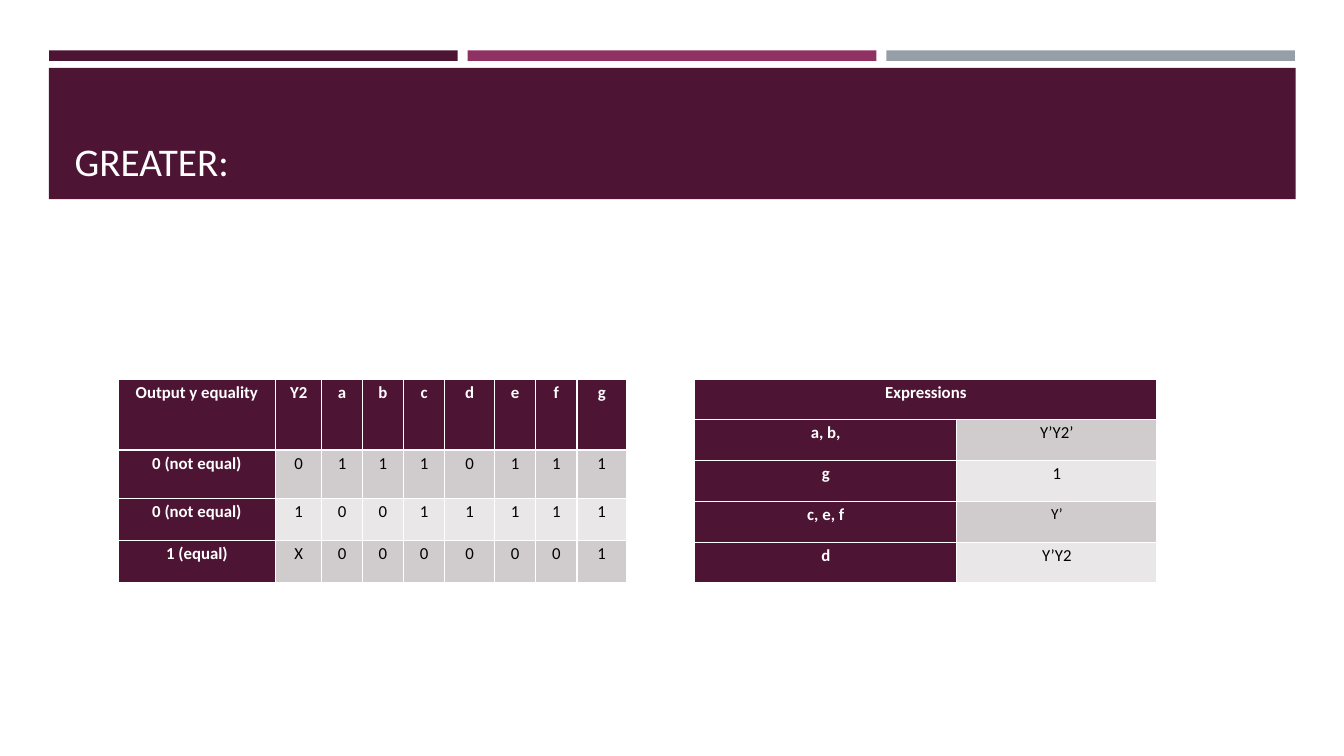
from dataclasses import dataclass

from pptx import Presentation, util as u
from pptx.dml import color
from pptx.enum import shapes, text

WIDE, HIGH = u.Inches(13.33), u.Inches(7.5)
FONT = "Calibri"
INK = {
    "plum": "4D1434",
    "rose": "903163",
    "slate": "969FA7",
    "dark": "D0CCCE",
    "light": "E9E7E8",
    "white": "FFFFFF",
    "black": "000000",
}


@dataclass(frozen=True)
class Box:
    left: float
    top: float
    width: float
    height: float


@dataclass(frozen=True)
class Block:
    box: Box
    ink: str


@dataclass(frozen=True)
class Grid:
    left: float
    cols: list[float]
    rows: list[float]
    lines: list[list[str]]
    small: str = ""


TOP = 50.13
BARS = [
    Block(Box(3.65 + 31.15 * i, 6.67, 30.4, 1.4), ink)
    for i, ink in enumerate(["plum", "rose", "slate"])
]
BAND = Block(Box(3.64, 8.98, 92.76, 17.35), "plum")
TITLE = Box(4.8, 10.27, 90.47, 14.8)
TRUTH = Grid(
    8.8,
    [11.7, 3.45, 3.0, 3.08, 3.08, 3.68, 3.08, 3.08, 3.68],
    [9.4, 6.45, 5.56, 5.5],
    [
        ["Output y equality", "Y2", *"abcdefg"],
        ["0 (not equal)", *"01110111"],
        ["0 (not equal)", *"10011111"],
        ["1 (equal)", *"X0000001"],
    ],
)
TERMS = Grid(
    51.69,
    [19.5, 14.9],
    [5.4] * 5,
    [
        ["Expressions"],
        ["a, b,", "Y’Y2’"],
        ["g", "1"],
        ["c, e, f", "Y’"],
        ["d", "Y’Y2"],
    ],
    small="Y’",
)


def across(share: float) -> int:
    return round(WIDE * share / 100)


def down(share: float) -> int:
    return round(HIGH * share / 100)


def frame(box: Box) -> tuple[int, int, int, int]:
    return across(box.left), down(box.top), across(box.width), down(box.height)


def tint(ink: str) -> color.RGBColor:
    return color.RGBColor.from_string(INK[ink])


def write(para, words: str, size: float, ink: str, bold: bool = False) -> None:
    run = para.add_run()
    run.text = words
    run.font.name = FONT
    run.font.size = u.Pt(size)
    run.font.bold = bold
    run.font.color.rgb = tint(ink)


def draw_block(slide, block: Block) -> None:
    shape = slide.shapes.add_shape(shapes.MSO_SHAPE.RECTANGLE, *frame(block.box))
    shape.shadow.inherit = False
    shape.fill.solid()
    shape.fill.fore_color.rgb = tint(block.ink)
    shape.line.fill.background()


def draw_title(slide, words: str) -> None:
    title = slide.shapes.title
    title.left, title.top, title.width, title.height = frame(TITLE)
    body = title.text_frame
    body.auto_size = text.MSO_AUTO_SIZE.NONE
    body.vertical_anchor = text.MSO_ANCHOR.BOTTOM
    para = body.paragraphs[0]
    para.alignment = text.PP_ALIGN.LEFT
    write(para, words, 28, "white")
    title.element.getparent().append(title.element)


def fill_cell(cell, words: str, ink: str, head: bool, size: float) -> None:
    cell.fill.solid()
    cell.fill.fore_color.rgb = tint(ink)
    cell.margin_left = cell.margin_right = across(0.5)
    cell.margin_top = cell.margin_bottom = 0
    para = cell.text_frame.paragraphs[0]
    para.alignment = text.PP_ALIGN.CENTER
    para.line_spacing = 1.15
    write(para, words, size, "white" if head else "black", head)


def draw_grid(slide, grid: Grid) -> None:
    box = Box(grid.left, TOP, sum(grid.cols), sum(grid.rows))
    table = slide.shapes.add_table(
        len(grid.rows), len(grid.cols), *frame(box)
    ).table
    table.first_col = True
    for col, share in zip(table.columns, grid.cols):
        col.width = across(share)
    for row, share in zip(table.rows, grid.rows):
        row.height = down(share)
    for y, line in enumerate(grid.lines):
        if len(line) < len(grid.cols):
            table.cell(y, 0).merge(table.cell(y, len(grid.cols) - 1))
        for x, words in enumerate(line):
            head = x == 0 or y == 0
            ink = "plum" if head else ("light", "dark")[y % 2]
            size = 11 if words == grid.small else 12
            fill_cell(table.cell(y, x), words, ink, head, size)


def main() -> None:
    deck = Presentation()
    deck.slide_width, deck.slide_height = WIDE, HIGH
    slide = deck.slides.add_slide(deck.slide_layouts.get_by_name("Title Only"))
    for block in [*BARS, BAND]:
        draw_block(slide, block)
    draw_title(slide, "GREATER:")
    for grid in [TRUTH, TERMS]:
        draw_grid(slide, grid)
    deck.save("out.pptx")


if __name__ == "__main__":
    main()
